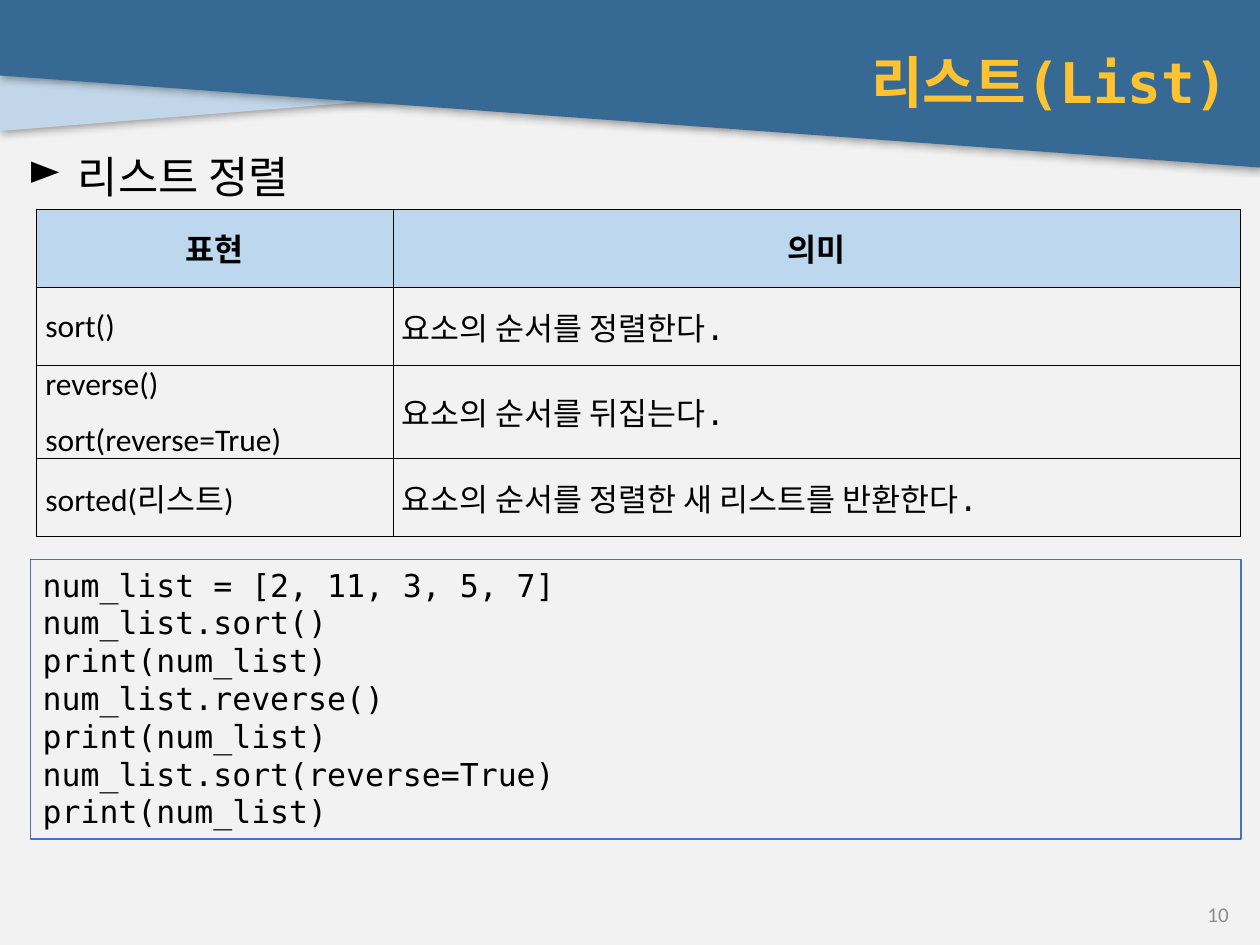
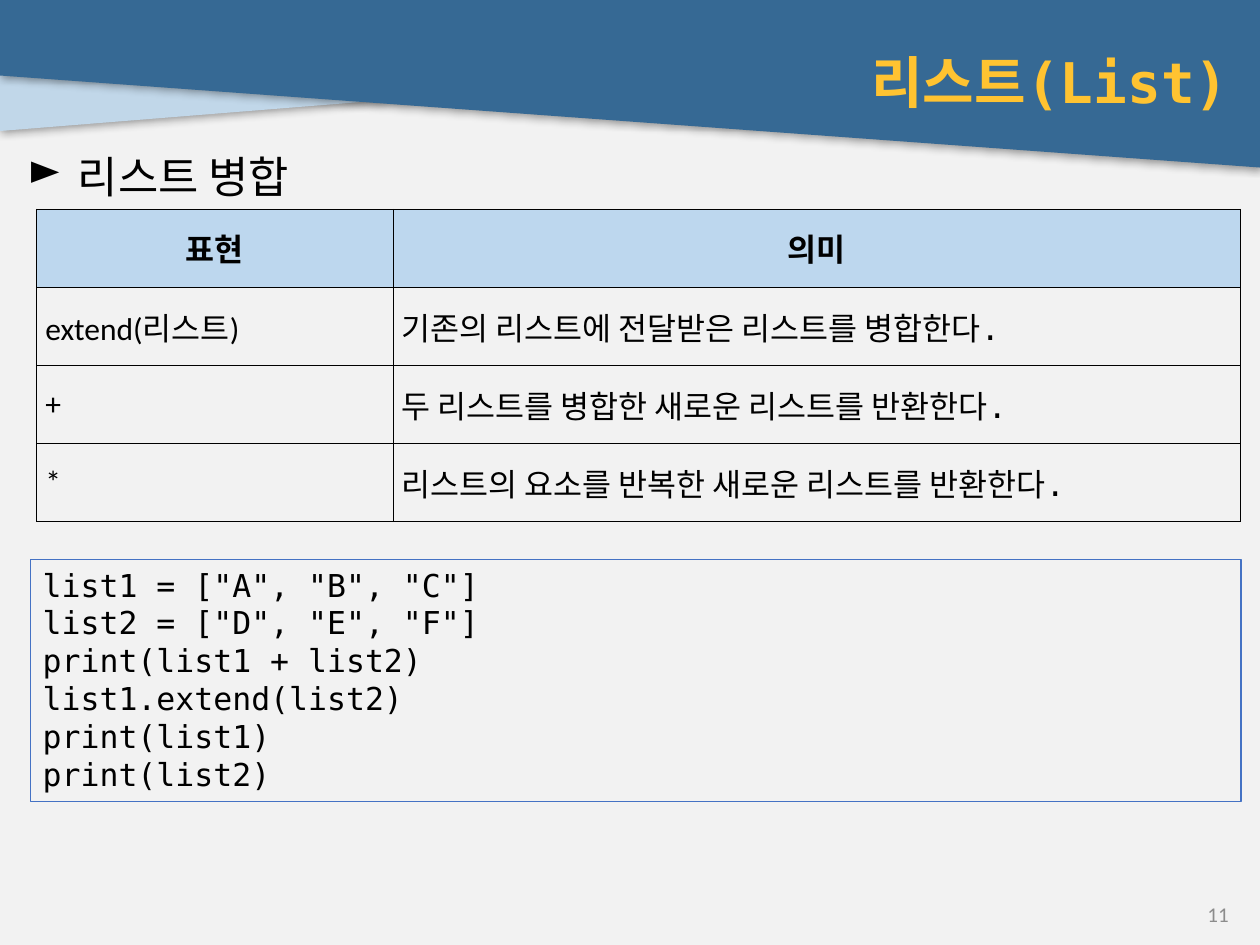
from lxml import etree
from pptx import Presentation
from pptx.dml.color import RGBColor
from pptx.enum.shapes import MSO_SHAPE
from pptx.enum.text import MSO_ANCHOR, MSO_AUTO_SIZE, PP_ALIGN
from pptx.oxml import parse_xml
from pptx.oxml.ns import nsdecls, qn
from pptx.util import Inches, Pt

LEFT, CENTER, RIGHT, JUSTIFY = PP_ALIGN.LEFT, PP_ALIGN.CENTER, PP_ALIGN.RIGHT, PP_ALIGN.JUSTIFY
MIDDLE, TOP = MSO_ANCHOR.MIDDLE, MSO_ANCHOR.TOP
RECTANGLE = MSO_SHAPE.RECTANGLE
GROW = MSO_AUTO_SIZE.SHAPE_TO_FIT_TEXT

MONO, SANS = "DejaVu Sans Mono", "Calibri"
THEME = {
    "background": "F2F2F2",
    "pale_band": "C1D7E9",
    "main_band": "366994",
    "header_fill": "BDD7EE",
    "code_line": "4472C4",
    "border": "000000",
    # text styles: font attributes, colour, paragraph attributes
    "title": ({"name": MONO, "size": Pt(32), "bold": True}, "FFC331", {"alignment": RIGHT}),
    "topic": ({"name": MONO, "size": Pt(25)}, "000000", {"alignment": LEFT, "line_spacing": 0.9}),
    "number": ({"name": SANS, "size": Pt(12)}, "8C8C8C", {"alignment": RIGHT}),
    "header": ({"name": SANS, "size": Pt(18), "bold": True}, "000000",
               {"alignment": CENTER, "space_after": Pt(5)}),
    "expression": ({"name": SANS, "size": Pt(18)}, "000000",
                   {"alignment": LEFT, "space_after": Pt(5)}),
    "meaning": ({"name": MONO, "size": Pt(18)}, "000000",
                {"alignment": JUSTIFY, "space_after": Pt(5)}),
    "code": ({"name": MONO, "size": Pt(18)}, "000000", {"alignment": LEFT}),
}

# Bands across the top: colour and corner points
BANDS = [
    ("pale_band", [(6.84, 0.04), (0, 0.04), (0, 1.04), (6.84, 0.49)]),
    ("main_band", [(0, 0), (10, 0), (10, 1.33), (0, 0.6)]),
]
SHADOW = (
    f'<a:effectLst {nsdecls("a")}><a:outerShdw blurRad="{Pt(5)}" dist="{Pt(1)}" dir="2700000">'
    '<a:srgbClr val="000000"><a:alpha val="40000"/></a:srgbClr></a:outerShdw></a:effectLst>'
)

# Text boxes: style, place, anchor
BOXES = [
    ("title", (0.24, 0.24, 9.61, 0.81), MIDDLE),
    ("topic", (0.12, 1.19, 9.73, 5.82), TOP),
    ("number", (7.6, 7.13, 2.25, 0.25), MIDDLE),
]
COLUMN_WIDTHS = (2.83, 6.72)
ROW_HEIGHT = 0.62
CODE_LINE_HEIGHT = 0.3
HEADINGS = ("표현", "의미")

PAGES = [
    {
        "title": "리스트(List)", "topic": "리스트 정렬", "number": "10",
        "rows": [
            ("sort()", "요소의 순서를 정렬한다."),
            ("reverse()\nsort(reverse=True)", "요소의 순서를 뒤집는다."),
            ("sorted(리스트)", "요소의 순서를 정렬한 새 리스트를 반환한다."),
        ],
        "code": """num_list = [2, 11, 3, 5, 7]
num_list.sort()
print(num_list)
num_list.reverse()
print(num_list)
num_list.sort(reverse=True)
print(num_list)""",
    },
    {
        "title": "리스트(List)", "topic": "리스트 병합", "number": "11",
        "rows": [
            ("extend(리스트)", "기존의 리스트에 전달받은 리스트를 병합한다."),
            ("+", "두 리스트를 병합한 새로운 리스트를 반환한다."),
            ("*", "리스트의 요소를 반복한 새로운 리스트를 반환한다."),
        ],
        "code": """list1 = ["A", "B", "C"]
list2 = ["D", "E", "F"]
print(list1 + list2)
list1.extend(list2)
print(list1)
print(list2)""",
    },
]


def color(name):
    return RGBColor.from_string(THEME[name])


def write(frame, text, style):
    """Fill a text frame, one paragraph a line, in a style of the theme."""
    font_format, font_color, para_format = THEME[style]
    for index, line in enumerate(text.split("\n")):
        para = frame.add_paragraph() if index else frame.paragraphs[0]
        for name, value in para_format.items():
            setattr(para, name, value)
        if index and "space_after" in para_format:
            para.space_before = para_format["space_after"]
        span = para.add_run()
        span.text = line
        for name, value in font_format.items():
            setattr(span.font, name, value)
        span.font.color.rgb = RGBColor.from_string(font_color)


deck = Presentation()
deck.slide_width, deck.slide_height = Inches(10), Inches(7.5)

for content in PAGES:
    page = deck.slides.add_slide(deck.slide_layouts[6])
    page.background.fill.solid()
    page.background.fill.fore_color.rgb = color("background")

    # Slanted bands with a soft shadow
    for fill_name, corners in BANDS:
        points = [(Inches(x), Inches(y)) for x, y in corners]
        builder = page.shapes.build_freeform(*points[0])
        builder.add_line_segments(points[1:], close=True)
        band = builder.convert_to_shape()
        band.fill.solid()
        band.fill.fore_color.rgb = color(fill_name)
        band.line.fill.background()
        band._element.spPr.append(parse_xml(SHADOW))

    # Title, topic and page number
    for style, place, anchor in BOXES:
        box = page.shapes.add_textbox(*map(Inches, place))
        box.text_frame.word_wrap = True
        box.text_frame.vertical_anchor = anchor
        if style == "topic":
            properties = box.text_frame.paragraphs[0]._p.get_or_add_pPr()
            properties.set("marL", str(Inches(0.4)))
            properties.set("indent", str(Inches(-0.4)))
            etree.SubElement(properties, qn("a:buChar"), char="►")
        write(box.text_frame, content[style], style)

    # Table of expressions and their meanings
    rows = [HEADINGS] + content["rows"]
    table = page.shapes.add_table(
        len(rows), len(COLUMN_WIDTHS), Inches(0.29), Inches(1.66),
        Inches(sum(COLUMN_WIDTHS)), Inches(ROW_HEIGHT * len(rows))).table
    table.first_row = table.horz_banding = False
    for column, width in zip(table.columns, COLUMN_WIDTHS):
        column.width = Inches(width)
    for row_index, row in enumerate(rows):
        for column_index, text in enumerate(row):
            cell = table.cell(row_index, column_index)
            cell.vertical_anchor = MIDDLE
            cell.margin_left = cell.margin_right = Inches(0.07)
            cell.margin_top = cell.margin_bottom = 0
            cell_properties = cell._tc.get_or_add_tcPr()
            for side in ("lnL", "lnR", "lnT", "lnB"):
                border = etree.SubElement(cell_properties, qn(f"a:{side}"), w=str(Pt(0.25)))
                border_fill = etree.SubElement(border, qn("a:solidFill"))
                etree.SubElement(border_fill, qn("a:srgbClr"), val=THEME["border"])
            if row_index == 0:
                cell.fill.solid()
                cell.fill.fore_color.rgb = color("header_fill")
                style = "header"
            else:
                cell.fill.background()
                style = ("expression", "meaning")[column_index]
            write(cell.text_frame, text, style)

    # Code listing in a frame that fits its lines
    line_count = len(content["code"].split("\n"))
    listing = page.shapes.add_shape(
        RECTANGLE, Inches(0.24), Inches(4.44), Inches(9.61),
        Inches(CODE_LINE_HEIGHT * line_count + 0.12))
    listing.shadow.inherit = False
    listing.fill.background()
    listing.line.color.rgb = color("code_line")
    listing.line.width = Pt(0.75)
    listing.text_frame.word_wrap = True
    listing.text_frame.auto_size = GROW
    listing.text_frame.vertical_anchor = TOP
    write(listing.text_frame, content["code"], "code")

deck.save("out.pptx")
